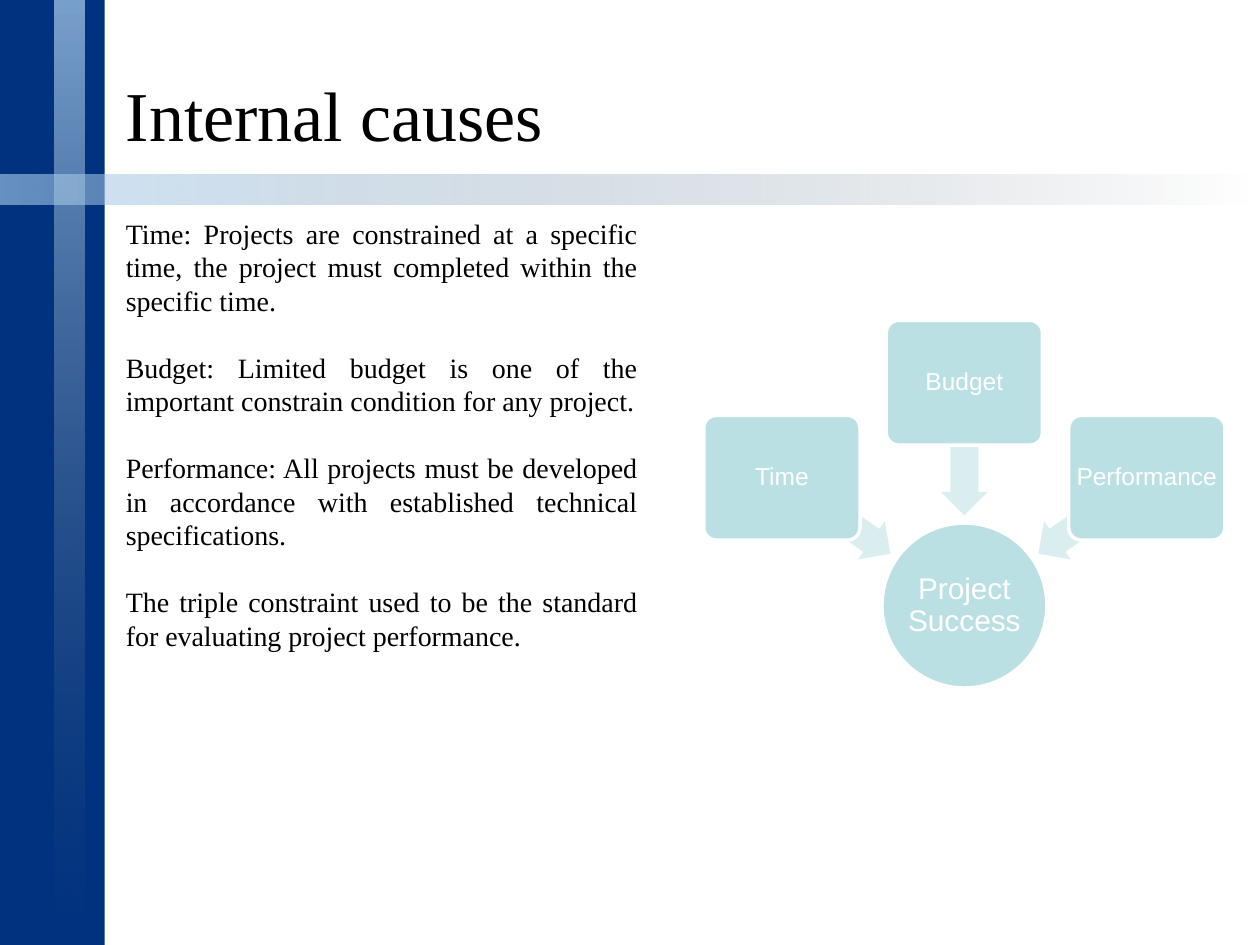
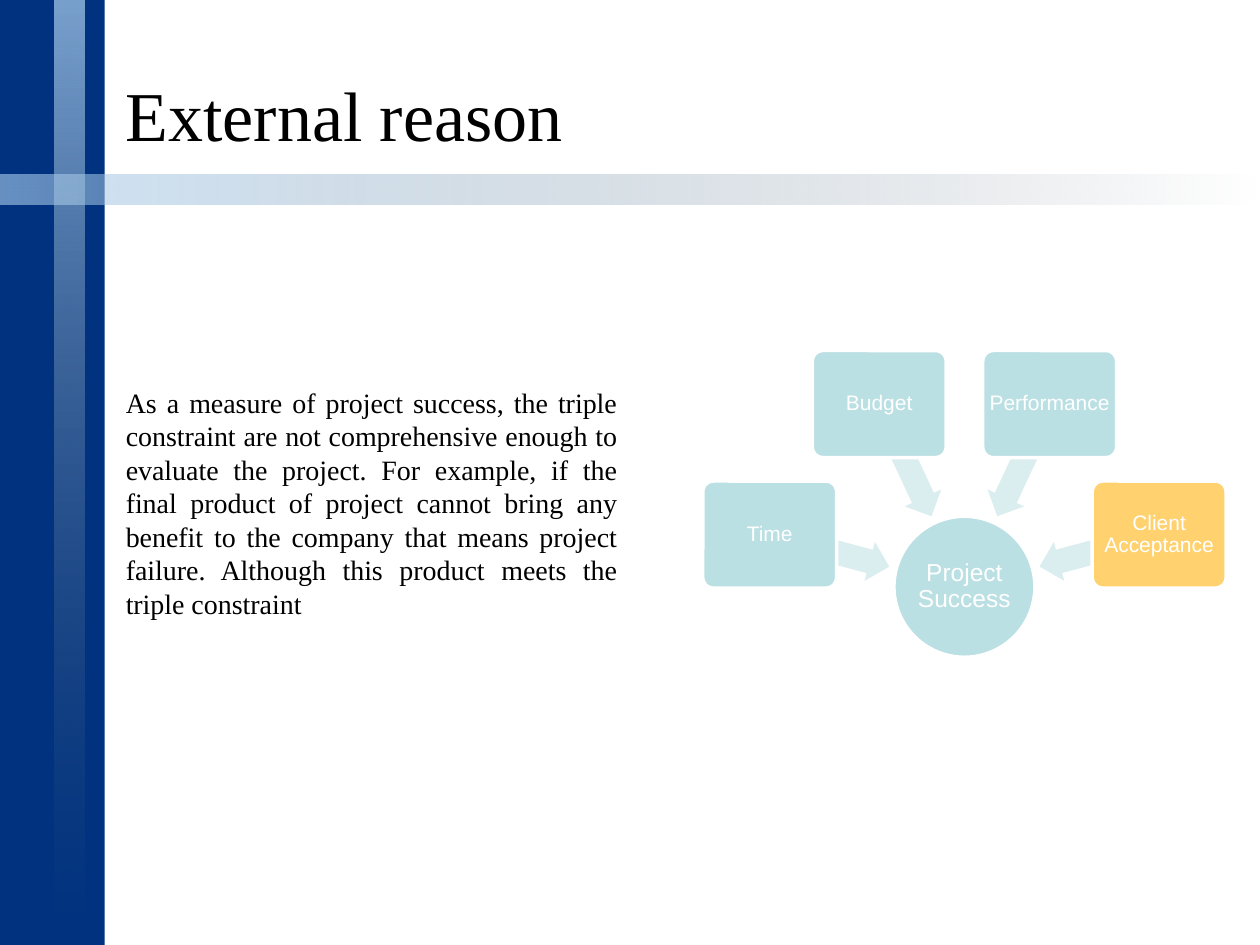
"""Build two slides on the internal and external causes of project success."""
from dataclasses import dataclass
from math import cos, radians, sin
from typing import Any

from lxml.etree import SubElement
from pptx import Presentation
from pptx.dml.color import RGBColor
from pptx.enum.shapes import MSO_SHAPE as SHAPE
from pptx.enum.text import MSO_ANCHOR as ANCHOR, PP_ALIGN as ALIGN
from pptx.oxml.ns import qn
from pptx.util import Pt

NAVY, WHITE, BLACK = "003280", "FFFFFF", "000000"
SKY, SLATE = "AED1EF", "51616F"
AQUA, PALE_AQUA, AMBER = "BBE0E3", "DAEDEF", "FFD26F"
SERIF, SANS = "Times New Roman", "Arial"
WIDTH, HEIGHT = 720, 540
TEXT_LEFT = 64.8
BODY_LINE = Pt(19.15)


@dataclass(frozen=True)
class Box:
    """Hold a position and size in points."""
    x: float
    y: float
    w: float
    h: float

    @classmethod
    def around(cls, cx: float, cy: float, w: float, h: float) -> "Box":
        """Make a box from its centre and size."""
        return cls(cx - w / 2, cy - h / 2, w, h)

    def emu(self) -> list[int]:
        """Give the lengths for python-pptx."""
        return [Pt(v) for v in (self.x, self.y, self.w, self.h)]


@dataclass(frozen=True)
class TextStyle:
    """Describe how a block of text is set."""
    size: float
    font: str
    color: str
    frame: dict[str, Any]
    para: dict[str, Any]


@dataclass(frozen=True)
class Factor:
    """Describe one outer box of a diagram."""
    text: str
    fill: str = AQUA


@dataclass(frozen=True)
class Diagram:
    """Describe factors fanned out above a hub."""
    center: tuple[float, float]
    hub_size: float
    hub_font: float
    box_size: tuple[float, float]
    box_font: float
    box_radius: float
    arrow_size: tuple[float, float]
    arrow_radius: float
    step: float
    factors: list[Factor]


@dataclass(frozen=True)
class Page:
    """Describe one slide."""
    title: str
    body: list[str]
    body_box: Box
    diagram: Diagram


TITLE = TextStyle(40, SERIF, BLACK,
                  {"word_wrap": True, "vertical_anchor": ANCHOR.BOTTOM},
                  {"alignment": ALIGN.JUSTIFY})
BODY = TextStyle(16, SERIF, BLACK, {"word_wrap": True},
                 {"alignment": ALIGN.JUSTIFY, "line_spacing": BODY_LINE,
                  "space_after": BODY_LINE})


def label_style(size: float, margin: float) -> TextStyle:
    """Make the style of a diagram label."""
    sides = ("left", "top", "right", "bottom")
    frame = {f"margin_{side}": Pt(margin) for side in sides}
    frame |= {"word_wrap": True, "vertical_anchor": ANCHOR.MIDDLE}
    return TextStyle(size, SANS, WHITE, frame,
                     {"alignment": ALIGN.CENTER, "line_spacing": 0.9})


def rgb(color: str) -> RGBColor:
    """Turn a hex string into a colour."""
    return RGBColor.from_string(color)


def apply(target: Any, values: dict[str, Any]) -> None:
    """Set each named attribute on the target."""
    for name, value in values.items():
        setattr(target, name, value)


def write(tf: Any, lines: list[str], style: TextStyle) -> None:
    """Fill a text frame with one paragraph per line."""
    apply(tf, style.frame)
    for i, line in enumerate(lines):
        p = tf.add_paragraph() if i else tf.paragraphs[0]
        apply(p, style.para)
        r = p.add_run()
        r.text = line
        apply(r.font, {"size": Pt(style.size), "name": style.font})
        r.font.color.rgb = rgb(style.color)


def add_text(s: Any, box: Box, lines: list[str], style: TextStyle) -> None:
    """Add a text box."""
    write(s.shapes.add_textbox(*box.emu()).text_frame, lines, style)


def add_shape(s: Any, kind: SHAPE, box: Box, fill: str | None = None,
              line: str | None = None, rotation: float = 0) -> Any:
    """Add a flat preset shape."""
    sp = s.shapes.add_shape(kind, *box.emu())
    sp.shadow.inherit = False
    sp.rotation = rotation
    if fill:
        sp.fill.solid()
        sp.fill.fore_color.rgb = rgb(fill)
    if line:
        sp.line.color.rgb = rgb(line)
        sp.line.width = Pt(2)
    else:
        sp.line.fill.background()
    return sp


def add_fading_band(s: Any, box: Box, opacity: int, rotation: float = 0) -> None:
    """Add a band that fades out along its length."""
    sp = add_shape(s, SHAPE.RECTANGLE, box, rotation=rotation)
    sp.fill.gradient()
    sp.fill.gradient_angle = 270
    for stop, color in zip(sp.fill.gradient_stops, (SKY, SLATE)):
        stop.color.rgb = rgb(color)
    colors = sp.element.spPr.iter(qn("a:srgbClr"))
    for node, alpha in zip(list(colors), (opacity, 0)):
        SubElement(node, qn("a:alpha")).set("val", str(alpha * 1000))


def add_frame(s: Any, title: str) -> None:
    """Draw the bands and title that the slides share."""
    add_shape(s, SHAPE.RECTANGLE, Box(0, 0, 59.8, HEIGHT), NAVY)
    add_fading_band(s, Box(31, 0, 17.4, HEIGHT), 70)
    add_fading_band(s, Box.around(WIDTH / 2, 108.4, 17.4, WIDTH), 60, 270)
    add_text(s, Box(TEXT_LEFT, 20.2, 635, 72), [title], TITLE)


def add_diagram(s: Any, d: Diagram) -> None:
    """Draw the hub with its factors and arrows."""
    cx, cy = d.center
    hub = add_shape(s, SHAPE.OVAL, Box.around(cx, cy, d.hub_size, d.hub_size),
                    AQUA, WHITE)
    write(hub.text_frame, ["Project Success"], label_style(d.hub_font, 0.7))
    middle = (len(d.factors) - 1) / 2
    for i, factor in enumerate(d.factors):
        angle = 270 + (i - middle) * d.step
        dx, dy = cos(radians(angle)), sin(radians(angle))
        arrow = add_shape(s, SHAPE.LEFT_ARROW,
                          Box.around(cx + d.arrow_radius * dx,
                                     cy + d.arrow_radius * dy, *d.arrow_size),
                          PALE_AQUA, rotation=angle)
        arrow.adjustments[0] = 0.6
        sp = add_shape(s, SHAPE.ROUNDED_RECTANGLE,
                       Box.around(cx + d.box_radius * dx,
                                  cy + d.box_radius * dy, *d.box_size),
                       factor.fill, WHITE)
        sp.adjustments[0] = 0.1
        write(sp.text_frame, [factor.text], label_style(d.box_font, 1.5))


TRIPLE = [Factor("Time"), Factor("Budget"), Factor("Performance")]
PAGES = [
    Page("Internal causes",
         ["Time: Projects are constrained at a specific time, the project must "
          "completed within the specific time.",
          "Budget: Limited budget is one of the important constrain condition "
          "for any project.",
          "Performance: All projects must be developed in accordance with "
          "established technical specifications.",
          "The triple constraint used to be the standard for evaluating "
          "project performance."],
         Box(TEXT_LEFT, 120.2, 306.7, 259.2),
         Diagram((551.1, 346), 94.3, 17, (89.3, 71.3), 14, 127.3,
                 (75.6, 26.6), 89.4, 55, TRIPLE)),
    Page("External reason",
         ["As a measure of project success, the triple constraint are not "
          "comprehensive enough to evaluate the project. For example, if the "
          "final product of project cannot bring any benefit to the company "
          "that means project failure. Although this product meets the triple "
          "constraint"],
         Box(TEXT_LEFT, 216.7, 295.2, 143.3),
         Diagram((551.1, 335.3), 80.6, 14, (76.5, 61.2), 12, 115.2,
                 (70.6, 23), 79.8, 50,
                 TRIPLE + [Factor("Client Acceptance", AMBER)])),
]


def main() -> None:
    """Build and save the presentation."""
    prs = Presentation()
    apply(prs, {"slide_width": Pt(WIDTH), "slide_height": Pt(HEIGHT)})
    for page in PAGES:
        s = prs.slides.add_slide(prs.slide_layouts[6])
        add_frame(s, page.title)
        add_diagram(s, page.diagram)
        add_text(s, page.body_box, page.body, BODY)
    prs.save("out.pptx")


if __name__ == "__main__":
    main()
